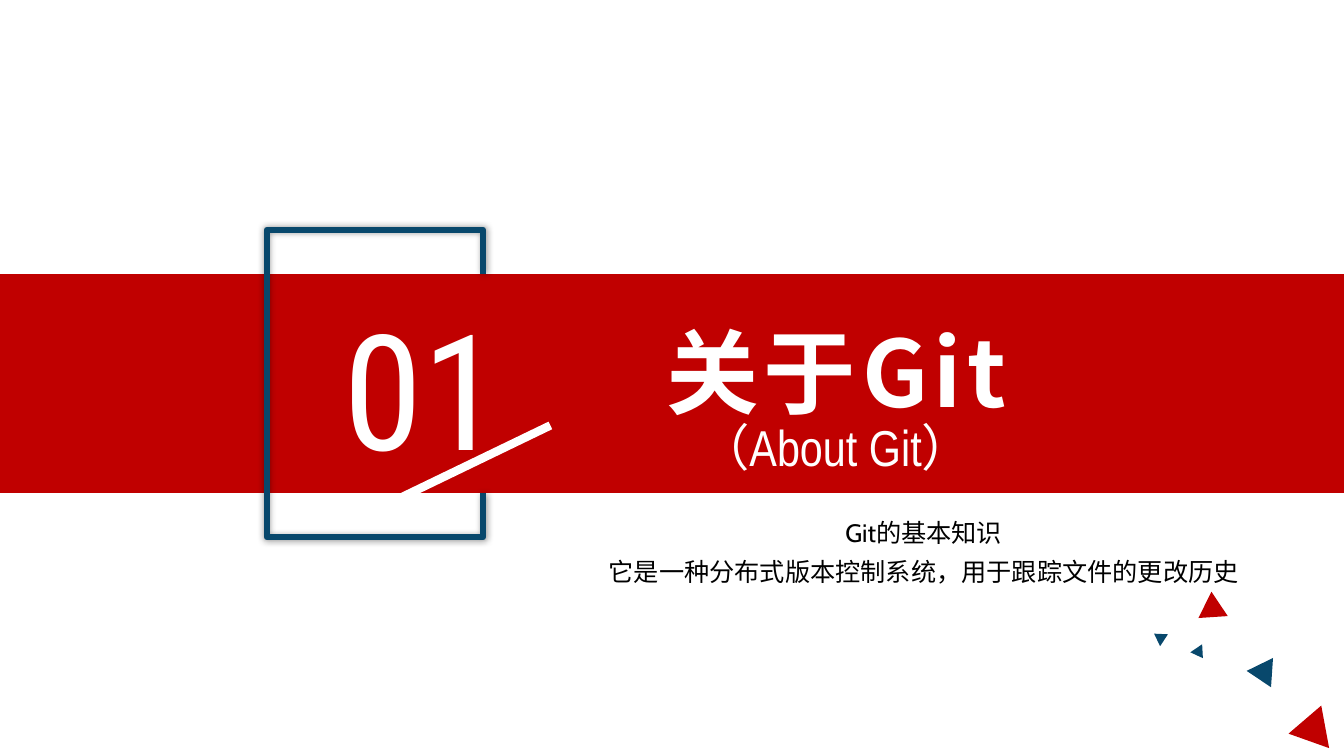
from lxml.etree import SubElement
from pptx import Presentation
from pptx.dml.color import RGBColor
from pptx.enum.shapes import MSO_CONNECTOR, MSO_SHAPE
from pptx.enum.text import MSO_ANCHOR, MSO_AUTO_SIZE, PP_ALIGN
from pptx.oxml.ns import qn
from pptx.util import Cm, Pt

# Content: each paragraph is a list of (text, font) runs
CJK = "Noto Sans CJK JP"
NUMBER = [[("01", "Roboto Condensed")]]
TITLE = [[("关于Git", CJK)]]
ENGLISH = [[("（", "Roboto Condensed"), ("About Git", "Arial Narrow"),
            ("）", "Roboto Condensed")]]
DESCRIPTION = [[("Git的基本知识", "Cabin")],
               [("它是一种分布式版本控制系统，用于跟踪文件的更改历史", "Cabin")]]

RED, BLUE, WHITE, BLACK = "C00000", "08486C", "FFFFFF", "000000"

# Lengths in cm
WIDTH, HEIGHT = 33.87, 19.05
BAND_TOP, BAND_HEIGHT = 6.91, 5.51
FRAME_LEFT, FRAME_TOP, FRAME_RIGHT, FRAME_BOTTOM = 6.73, 5.79, 12.17, 13.54
TRIANGLES = [  # left, top, width, height, rotation, colour
    (31.52, 16.71, 0.74, 0.64, 153.9, BLUE),
    (32.39, 17.93, 1.09, 0.94, 259.5, RED),
    (30.18, 14.91, 0.74, 0.64, 356.2, RED),
    (29.03, 15.90, 0.36, 0.30, 303.5, BLUE),
    (30.05, 16.31, 0.36, 0.30, 145.8, BLUE),
]


def rgb(colour):
    return RGBColor.from_string(colour)


def add_filled(preset, left, top, width, height, colour, rotation=0):
    shape = slide.shapes.add_shape(preset, Cm(left), Cm(top), Cm(width), Cm(height))
    shape.shadow.inherit = False
    shape.fill.solid()
    shape.fill.fore_color.rgb = rgb(colour)
    shape.line.fill.background()
    shape.rotation = rotation
    return shape


def write(box, place, paragraphs, size, colour, align=PP_ALIGN.CENTER,
          bold=False, line_spacing=1.0, letter_spacing=0, insets=(0.25, 0.13)):
    box.left, box.top, box.width, box.height = [Cm(length) for length in place]
    frame = box.text_frame
    frame.word_wrap = True
    frame.auto_size = MSO_AUTO_SIZE.SHAPE_TO_FIT_TEXT
    frame.vertical_anchor = MSO_ANCHOR.TOP
    frame.margin_left = frame.margin_right = Cm(insets[0])
    frame.margin_top = frame.margin_bottom = Cm(insets[1])
    for index, runs in enumerate(paragraphs):
        paragraph = frame.paragraphs[0] if index == 0 else frame.add_paragraph()
        paragraph.alignment = align
        paragraph.line_spacing = line_spacing
        paragraph.space_before = Pt(0)
        for text, font in runs:
            run = paragraph.add_run()
            run.text = text
            run.font.size = Pt(size)
            run.font.bold = bold
            run.font.color.rgb = rgb(colour)
            run.font.name = font
            properties = run.font._element
            SubElement(properties, qn("a:ea"), typeface=CJK)
            if letter_spacing:
                properties.set("spc", str(letter_spacing * 100))


presentation = Presentation()
presentation.slide_width, presentation.slide_height = Cm(WIDTH), Cm(HEIGHT)
slide = presentation.slides.add_slide(presentation.slide_layouts[0])
title, description = slide.placeholders

# Red band, placed behind the title
band = add_filled(MSO_SHAPE.RECTANGLE, 0, BAND_TOP, WIDTH, BAND_HEIGHT, RED)
title.element.addprevious(band.element)

# Blue frame, open on the right where it crosses the band
corners = [(FRAME_RIGHT, BAND_TOP + BAND_HEIGHT), (FRAME_RIGHT, FRAME_BOTTOM),
           (FRAME_LEFT, FRAME_BOTTOM), (FRAME_LEFT, FRAME_TOP),
           (FRAME_RIGHT, FRAME_TOP), (FRAME_RIGHT, BAND_TOP)]
start, *others = [(Cm(x), Cm(y)) for x, y in corners]
builder = slide.shapes.build_freeform(*start)
builder.add_line_segments(others, close=False)
number_frame = builder.convert_to_shape()
number_frame.fill.background()
number_frame.line.color.rgb = rgb(BLUE)
number_frame.line.width = Pt(4.5)
number_frame.shadow.inherit = False
effects = number_frame.element.spPr.find(qn("a:effectLst"))
glow = SubElement(effects, qn("a:outerShdw"), blurRad=str(Pt(5)), dist="0",
                  dir="0", algn="ctr", rotWithShape="0")
shade = SubElement(glow, qn("a:srgbClr"), val=BLACK)
SubElement(shade, qn("a:alpha"), val="40000")

# Section number and its slash
number = slide.shapes.add_textbox(0, 0, 0, 0)
write(number, (8.41, 7.16, 5.18, 5.18), NUMBER, 115, WHITE, PP_ALIGN.LEFT)
slash = slide.shapes.add_connector(MSO_CONNECTOR.STRAIGHT, Cm(13.87), Cm(10.72),
                                   Cm(9.19), Cm(12.98))
slash.line.color.rgb = rgb(WHITE)
slash.line.width = Pt(6)
SubElement(slash.element.spPr, qn("a:effectLst"))

# Titles and description
write(title, (13.11, 6.93, 15.93, 3.58), TITLE, 66, WHITE, bold=True,
      line_spacing=1.3, letter_spacing=4, insets=(0.33, 0.18))
english = slide.shapes.add_textbox(0, 0, 0, 0)
write(english, (16.59, 10.36, 8.94, 1.8), ENGLISH, 36, WHITE)
write(description, (13.59, 12.62, 19.38, 2.34), DESCRIPTION, 18, BLACK,
      line_spacing=1.3, insets=(0.33, 0.18))

# Corner triangles
for left, top, width, height, rotation, colour in TRIANGLES:
    add_filled(MSO_SHAPE.ISOSCELES_TRIANGLE, left, top, width, height, colour, rotation)

presentation.save("out.pptx")
